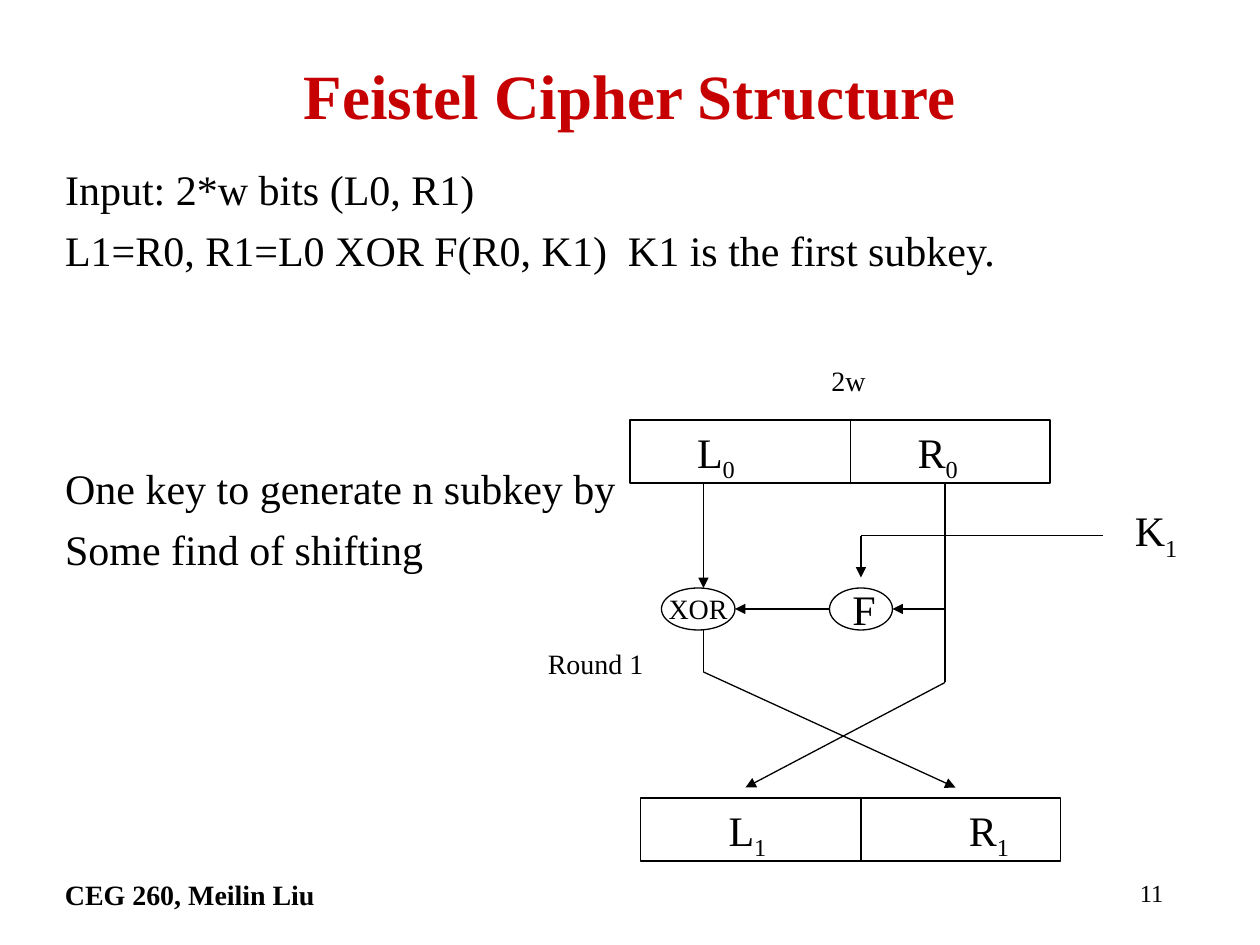
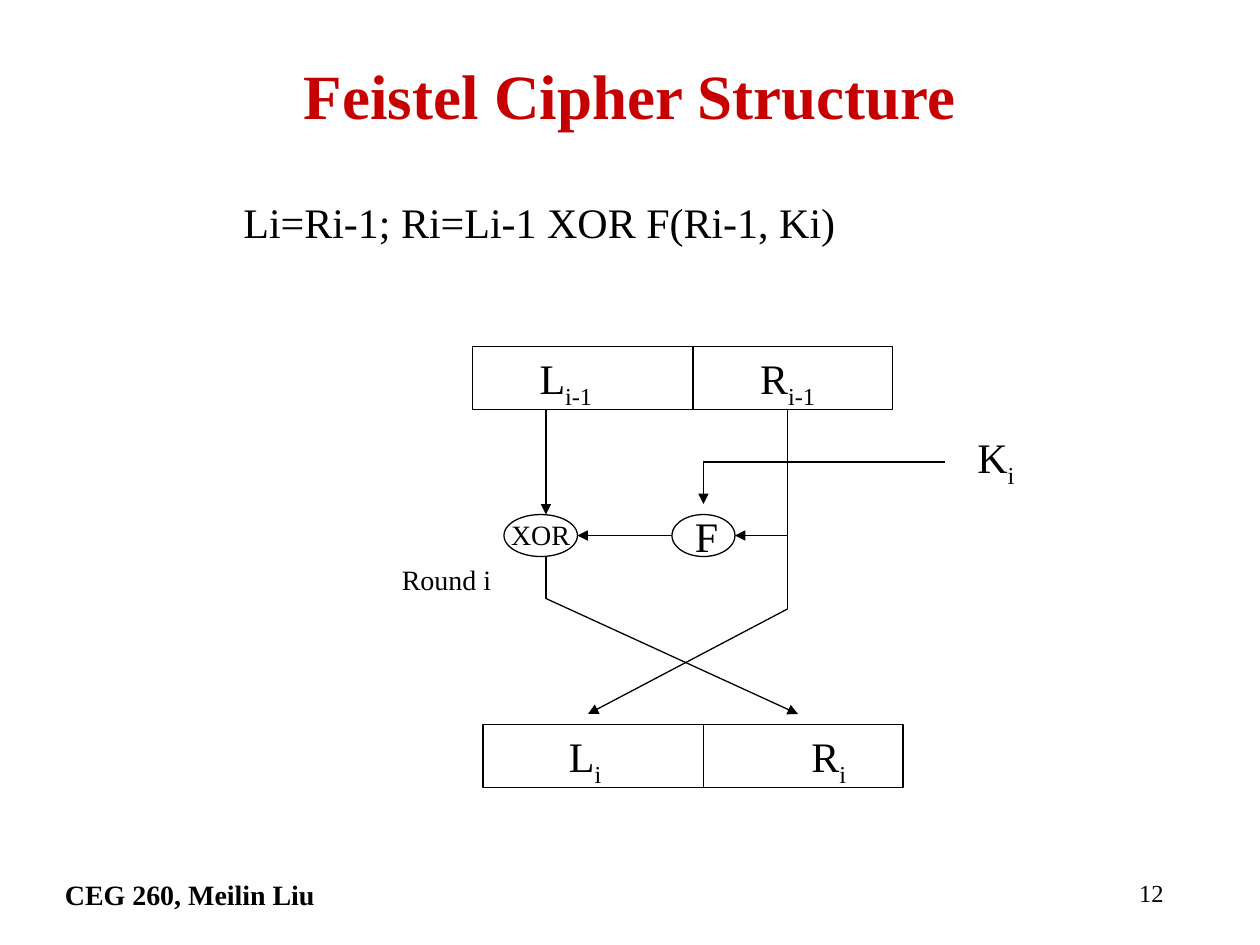
from dataclasses import dataclass
from itertools import pairwise

from lxml.etree import SubElement
from pptx import Presentation
from pptx.dml.color import RGBColor
from pptx.enum.shapes import MSO_CONNECTOR, MSO_SHAPE
from pptx.enum.text import MSO_ANCHOR, MSO_AUTO_SIZE, PP_ALIGN
from pptx.oxml.ns import qn
from pptx.util import Pt


@dataclass(frozen=True)
class Theme:
    font: str = "Times New Roman"
    ink: RGBColor = RGBColor(0, 0, 0)
    heading: RGBColor = RGBColor(0xC6, 0, 0)
    title: int = 36
    body: int = 24
    small: int = 16
    number: int = 14
    line: float = 0.75
    subscript: int = -25000


THEME = Theme()
EMU_PER_PX = 7620
SLIDE_SIZE = (1200, 900)

TITLE = "Feistel Cipher Structure"
FOOTER = "CEG 260, Meilin Liu"
TITLE_BOX = (90, 40, 1020, 100)
FOOTER_BOX = (50, 830, 760, 50)
NUMBER_BOX = (870, 830, 250, 50)
BODY_BOX = (50, 150, 1080, 594)
FORMULA_BOX = (220, 181, 620, 60)
LABEL_SIZE = (90, 66)
NOTE_SIZE = (120, 44)

SLIDES = [
    {
        "number": "11",
        "body": [
            ("Input: 2*w bits (L0, R1)", 0),
            ("L1=R0, R1=L0 XOR F(R0, K1)  K1 is the first subkey.", 6),
            ("One key to generate n subkey by", 107),
            ("Some find of shifting", 6),
        ],
        "origin": (600, 400),
        "labels": [("L_0", 52, 0), ("R_0", 262, 0), ("L_1", 82, 360),
                   ("R_1", 311, 360), ("K_1", 469, 75)],
        "notes": [("2w", 180, -60), ("Round 1", -90, 210)],
    },
    {
        "number": "12",
        "formula": "Li=Ri-1; Ri=Li-1 XOR F(Ri-1, Ki)",
        "origin": (450, 330),
        "labels": [("L_i-1", 52, 0), ("R_i-1", 262, 0), ("L_i", 80, 360),
                   ("R_i", 311, 360), ("K_i", 469, 75)],
        "notes": [("Round i", -79, 200)],
    },
]

ROUND_LABELS = [("F", 200, 150)]
ROUND_NOTES = [("XOR", 25, 157)]
ROUND_SHAPES = [
    (MSO_SHAPE.RECTANGLE, (0, 0, 400, 60)),
    (MSO_SHAPE.RECTANGLE, (10, 360, 400, 60)),
    (MSO_SHAPE.OVAL, (30, 160, 70, 40)),
    (MSO_SHAPE.OVAL, (190, 160, 60, 40)),
]
DIVIDERS = [
    [(210, 0), (210, 60)],
    [(220, 360), (220, 420)],
]
ARROW_PATHS = [
    [(300, 60), (300, 250), (110, 350)],
    [(300, 180), (250, 180)],
    [(450, 110), (220, 110), (220, 150)],
    [(190, 180), (100, 180)],
    [(70, 60), (70, 160)],
    [(70, 200), (70, 240), (310, 350)],
]


def px(*lengths):
    return [length * EMU_PER_PX for length in lengths]


def move(part, box):
    part.left, part.top, part.width, part.height = px(*box)


def write(frame, *lines, size=THEME.body, color=THEME.ink, bold=False,
          align=PP_ALIGN.LEFT, anchor=MSO_ANCHOR.TOP):
    frame.word_wrap = True
    frame.auto_size = MSO_AUTO_SIZE.NONE
    frame.vertical_anchor = anchor
    for index, (line, gap) in enumerate(lines):
        paragraph = frame.add_paragraph() if index else frame.paragraphs[0]
        properties = paragraph._p.get_or_add_pPr()
        properties.set("marL", "0")
        properties.set("indent", "0")
        SubElement(properties, qn("a:buNone"))
        paragraph.alignment = align
        paragraph.line_spacing = 1.0
        paragraph.space_before = Pt(gap)
        base, _, subscript = line.partition("_")
        for content, offset in ((base, 0), (subscript, THEME.subscript)):
            if not content:
                continue
            run = paragraph.add_run()
            run.text = content
            run.font.name = THEME.font
            run.font.size = Pt(size)
            run.font.bold = bold
            run.font.color.rgb = color
            if offset:
                run._r.get_or_add_rPr().set("baseline", str(offset))


def add_text(shapes, text, box, **style):
    write(shapes.add_textbox(*px(*box)).text_frame, (text, 0), **style)


def ink_line(line):
    line.color.rgb = THEME.ink
    line.width = Pt(THEME.line)


def add_path(shapes, origin, points, arrow):
    left, top = origin
    placed = [(left + x, top + y) for x, y in points]
    for start, end in pairwise(placed):
        segment = shapes.add_connector(MSO_CONNECTOR.STRAIGHT, *px(*start, *end))
        ink_line(segment.line)
        if arrow and end == placed[-1]:
            SubElement(segment.line._get_or_add_ln(), qn("a:tailEnd"), type="triangle")
        SubElement(segment._element.spPr, qn("a:effectLst"))


def add_round(slide, content):
    shapes = slide.shapes.add_group_shape().shapes
    origin = left, top = content["origin"]
    for kind, (x, y, width, height) in ROUND_SHAPES:
        outline = shapes.add_shape(kind, *px(left + x, top + y, width, height))
        outline.shadow.inherit = False
        outline.fill.background()
        ink_line(outline.line)
    for paths, arrow in ((DIVIDERS, False), (ARROW_PATHS, True)):
        for points in paths:
            add_path(shapes, origin, points, arrow)
    for texts, extent, size in (
        (content["labels"] + ROUND_LABELS, LABEL_SIZE, THEME.body),
        (content["notes"] + ROUND_NOTES, NOTE_SIZE, THEME.small),
    ):
        for text, x, y in texts:
            add_text(shapes, text, (left + x, top + y, *extent), size=size)


def add_slide(deck, content):
    layout = deck.slide_layouts[1 if "body" in content else 5]
    slide = deck.slides.add_slide(layout)
    title = slide.shapes.title
    move(title, TITLE_BOX)
    write(title.text_frame, (TITLE, 0), size=THEME.title, color=THEME.heading,
          bold=True, align=PP_ALIGN.CENTER, anchor=MSO_ANCHOR.MIDDLE)
    add_text(slide.shapes, FOOTER, FOOTER_BOX, size=THEME.small, bold=True)
    add_text(slide.shapes, content["number"], NUMBER_BOX, size=THEME.number,
             align=PP_ALIGN.RIGHT)
    if "body" in content:
        body = slide.placeholders[1]
        move(body, BODY_BOX)
        write(body.text_frame, *content["body"])
    if "formula" in content:
        add_text(slide.shapes, content["formula"], FORMULA_BOX)
    add_round(slide, content)


def main():
    deck = Presentation()
    deck.slide_width, deck.slide_height = px(*SLIDE_SIZE)
    for content in SLIDES:
        add_slide(deck, content)
    deck.save("out.pptx")


if __name__ == "__main__":
    main()
